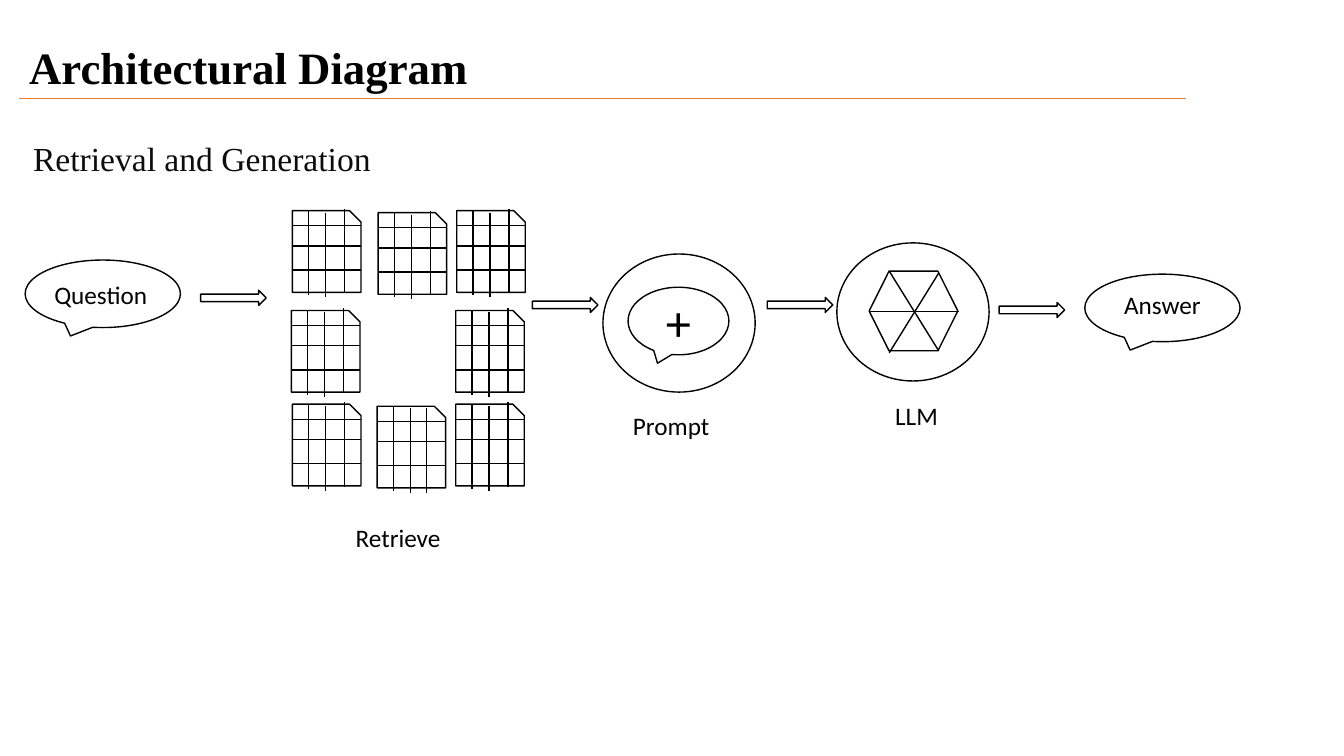
"""Build the Architectural Diagram slide for retrieval and generation."""
from lxml import etree
from pptx import Presentation
from pptx.dml.color import RGBColor
from pptx.enum import shapes, text
from pptx.oxml.ns import qn
from pptx.util import Inches, Pt

COLORS = {"ink": "000000", "soft": "0D0D0D", "paper": "FFFFFF", "accent": "ED7D31"}
HEADING, BODY = "Times New Roman", "Calibri"
KIND = shapes.MSO_SHAPE

LABELS = [
    ("Architectural Diagram", (0.19, 0.34, 6.67, 0.64),
     {"size": Pt(32), "name": HEADING, "bold": True}, "ink"),
    ("Retrieval and Generation", (0.23, 1.32, 6.67, 0.5),
     {"size": Pt(24), "name": HEADING}, "soft"),
] + [
    (words, (left, top, width, 0.4), {"size": Pt(18), "name": BODY}, "ink")
    for words, left, top, width in [
        ("Question", 0.44, 2.72, 1.17),
        ("Answer", 11.05, 2.82, 1.17),
        ("Retrieve", 3.43, 5.13, 1.43),
        ("Prompt", 6.18, 4.02, 1.43),
        ("LLM", 8.78, 3.92, 1.43),
    ]
]

TITLE_RULE = (0.19, 0.98, 11.76, 0.98)
BUBBLES = [(0.25, 2.58), (10.76, 2.72)]
ARROWS = [(1.99, 2.88), (5.28, 2.95), (7.61, 2.95), (9.91, 3.0)]
PROMPT_CIRCLE, LLM_CIRCLE = (5.98, 2.52), (8.3, 2.41)
PROMPT_BUBBLE = (6.23, 2.85, 1.0, 0.67)
LLM_HEXAGON = (8.62, 2.69, 0.88, 0.79)
SPOKES = [(8.82, 2.69, 9.31, 3.48), (9.31, 2.71, 8.82, 3.5), (8.62, 3.09, 9.51, 3.09)]

PAGE_SIZE = (0.68, 0.81)
PAGE_ROWS = [0.15, 0.35, 0.59]
PAGE_COLUMNS = [(0.16, 0), (0.33, 0.02), (0.52, -0.02)]
NARROW_COLUMNS = PAGE_COLUMNS[:2] + [(0.49, 0.02)]
COLUMN_HEIGHT = 0.84
PAGES = [
    (2.9, 2.09, PAGE_COLUMNS), (3.75, 2.11, PAGE_COLUMNS), (4.53, 2.09, PAGE_COLUMNS),
    (2.89, 3.08, PAGE_COLUMNS), (4.52, 3.08, PAGE_COLUMNS),
    (2.9, 4.01, PAGE_COLUMNS), (3.74, 4.03, NARROW_COLUMNS), (4.52, 4.01, PAGE_COLUMNS),
]


def color(key):
    return RGBColor.from_string(COLORS[key])


def write(paragraph, words, font, key):
    run = paragraph.add_run()
    run.text = words
    for attribute, value in font.items():
        setattr(run.font, attribute, value)
    run.font.color.rgb = color(key)


def add_label(slide, words, place, font, key):
    frame = slide.shapes.add_textbox(*map(Inches, place)).text_frame
    layout = {"word_wrap": True, "auto_size": text.MSO_AUTO_SIZE.SHAPE_TO_FIT_TEXT}
    for attribute, value in layout.items():
        setattr(frame, attribute, value)
    write(frame.paragraphs[0], words, font, key)


def add_outline(slide, kind, *place):
    outline = slide.shapes.add_shape(kind, *map(Inches, place))
    outline.shadow.inherit = False
    outline.fill.solid()
    outline.fill.fore_color.rgb = color("paper")
    outline.line.color.rgb = color("ink")
    outline.line.width = Pt(1)
    return outline


def add_line(slide, ends, key="ink"):
    line = slide.shapes.add_connector(shapes.MSO_CONNECTOR.STRAIGHT, *map(Inches, ends))
    line.line.color.rgb = color(key)
    line.line.width = Pt(1)
    etree.SubElement(line._element.spPr, qn("a:effectLst"))


def add_page(slide, left, top, columns):
    width, height = PAGE_SIZE
    add_outline(slide, KIND.SNIP_1_RECTANGLE, left, top, width, height)
    for down in PAGE_ROWS:
        add_line(slide, (left, top + down, left + width, top + down))
    for across, shift in columns:
        x, y = left + across, top + shift
        add_line(slide, (x, y, x, y + COLUMN_HEIGHT))


def main():
    deck = Presentation()
    deck.slide_width, deck.slide_height = Inches(13.33), Inches(7.5)
    slide = deck.slides.add_slide(deck.slide_layouts[6])

    add_line(slide, TITLE_RULE, "accent")
    for page in PAGES:
        add_page(slide, *page)
    for bubble in BUBBLES:
        add_outline(slide, KIND.OVAL_CALLOUT, *bubble, 1.54, 0.67)
    for arrow in ARROWS:
        add_outline(slide, KIND.RIGHT_ARROW, *arrow, 0.65, 0.15)
    for circle in (PROMPT_CIRCLE, LLM_CIRCLE):
        add_outline(slide, KIND.OVAL, *circle, 1.51, 1.37)

    plus = add_outline(slide, KIND.OVAL_CALLOUT, *PROMPT_BUBBLE).text_frame
    plus.vertical_anchor = text.MSO_ANCHOR.MIDDLE
    plus.paragraphs[0].alignment = text.PP_ALIGN.CENTER
    write(plus.paragraphs[0], "+", {"size": Pt(36), "name": BODY}, "ink")

    add_outline(slide, KIND.HEXAGON, *LLM_HEXAGON)
    for spoke in SPOKES:
        add_line(slide, spoke)
    for label in LABELS:
        add_label(slide, *label)
    deck.save("out.pptx")


if __name__ == "__main__":
    main()
